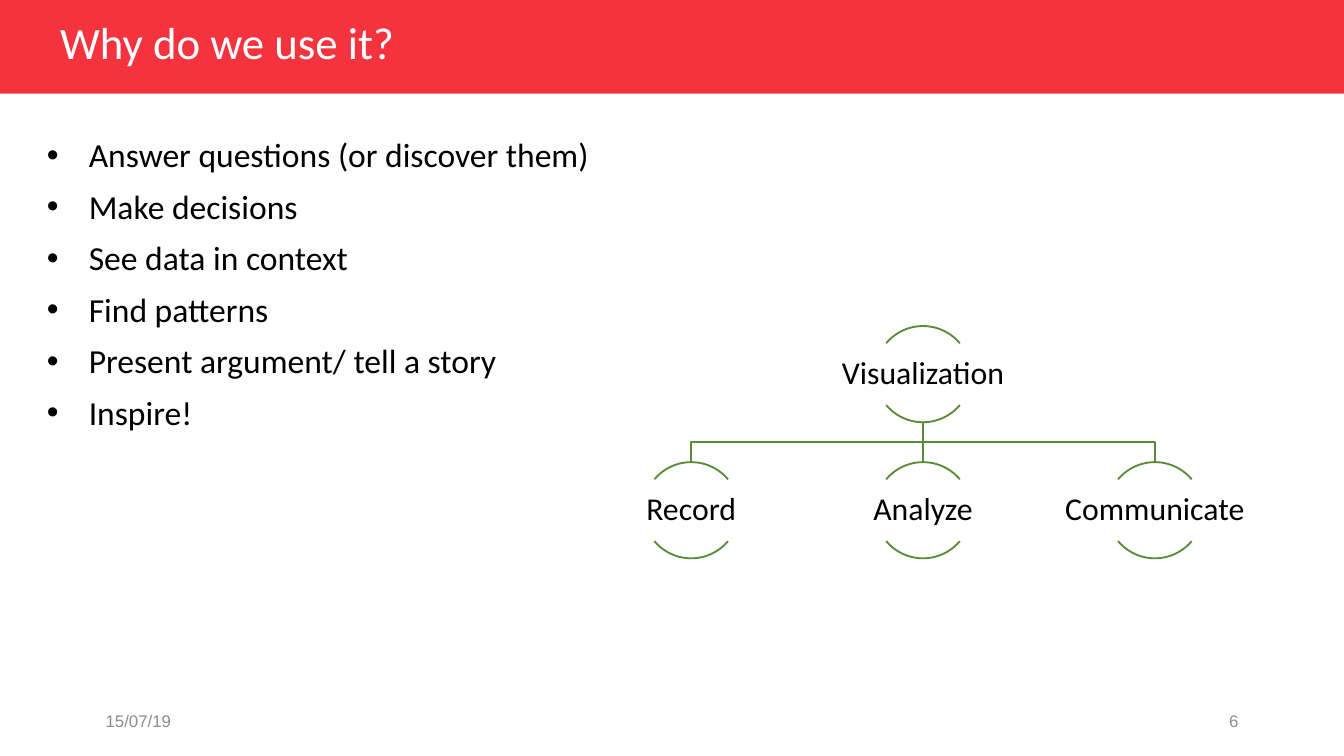
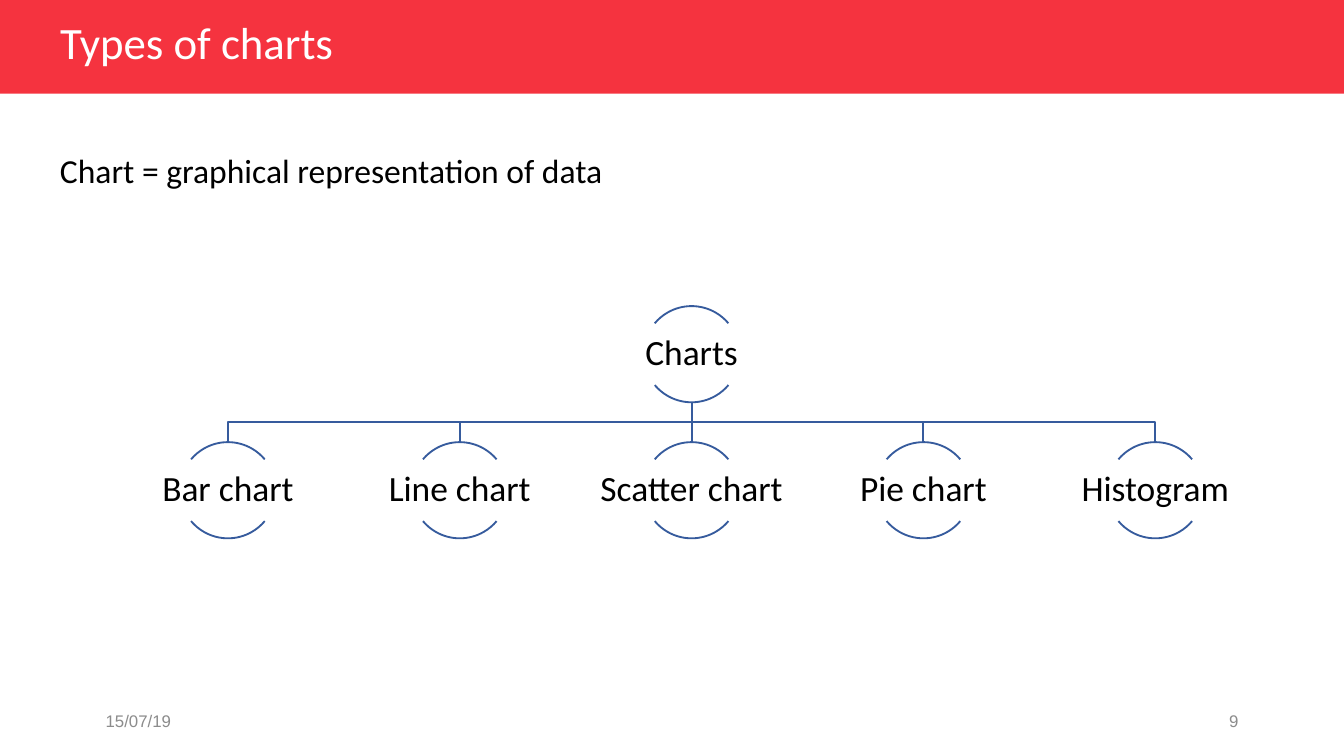
"""Build two slides on why data is visualized and which chart types exist."""
from lxml import etree
from pptx import Presentation
from pptx.dml.color import RGBColor
from pptx.enum import shapes, text
from pptx.oxml import ns
from pptx.util import Pt

COLOURS = {
    "band": "F5333F",
    "title": "FFFFFF",
    "body": "000000",
    "footer": "8C8C8C",
    "purpose": "5A8B39",
    "charts": "365B9D",
}
BODY_FONT, FOOTER_FONT = "Calibri", "Arial"
NODE_SIZE, NODE_PITCH, LEVEL_PITCH = 51.5, 124.2, 72.9
LABEL_WIDTH, LABEL_HEIGHT = 103, 33
ARC_ANGLES = ((132, 192), (24, 84))


def rgb(name):
    """Return the named colour."""
    return RGBColor.from_string(COLOURS[name])


def add_run(paragraph, wording, size, colour="body", font=BODY_FONT):
    """Append one formatted run."""
    run = paragraph.add_run()
    run.text = wording
    run.font.size = Pt(size)
    run.font.name = font
    run.font.color.rgb = rgb(colour)


def add_text_box(parent, left, top, width, height):
    """Add an empty wrapping text box and return its frame."""
    frame = parent.shapes.add_textbox(Pt(left), Pt(top), Pt(width), Pt(height)).text_frame
    frame.word_wrap = True
    return frame


def add_band(slide):
    """Place the title band on the layout that the slides share."""
    band = slide.shapes.add_shape(shapes.MSO_SHAPE.RECTANGLE, 0, 0, Pt(720), Pt(50.2))
    band.shadow.inherit = False
    band.fill.solid()
    band.fill.fore_color.rgb = rgb("band")
    band.line.fill.background()
    band.element.nvSpPr.cNvPr.set("id", "20")
    slide.slide_layout.shapes.element.insert(2, band.element)


def add_footer(slide, left, wording, alignment):
    """Add one small footer entry."""
    frame = add_text_box(slide, left, 375.3, 162, 21.6)
    frame.vertical_anchor = text.MSO_ANCHOR.MIDDLE
    entry = frame.paragraphs[0]
    entry.alignment = alignment
    add_run(entry, wording, 9, "footer", FOOTER_FONT)


def add_slide(deck, heading, number):
    """Add a slide with its title, date and number."""
    slide = deck.slides.add_slide(deck.slide_layouts[5])
    title = slide.shapes.title
    title.left, title.top, title.width, title.height = Pt(25), Pt(9.2), Pt(294.5), Pt(30.2)
    frame = title.text_frame
    frame.auto_size = text.MSO_AUTO_SIZE.NONE
    frame.vertical_anchor = text.MSO_ANCHOR.MIDDLE
    line = frame.paragraphs[0]
    line.alignment = text.PP_ALIGN.LEFT
    line.line_spacing = 0.9
    add_run(line, heading, 24, "title")
    add_footer(slide, 49.5, "15/07/19", text.PP_ALIGN.LEFT)
    add_footer(slide, 508.5, number, text.PP_ALIGN.RIGHT)
    return slide


def add_bullets(slide, reasons):
    """Add the bulleted list of reasons."""
    frame = add_text_box(slide, 18, 68.4, 676, 168.5)
    frame.auto_size = text.MSO_AUTO_SIZE.SHAPE_TO_FIT_TEXT
    for index, reason in enumerate(reasons):
        item = frame.add_paragraph() if index else frame.paragraphs[0]
        item.space_after = Pt(6)
        add_run(item, reason, 18)
        properties = item._p.get_or_add_pPr()
        properties.set("marL", str(Pt(22.5)))
        properties.set("indent", str(Pt(-22.5)))
        etree.SubElement(properties, ns.qn("a:buFont")).set("typeface", FOOTER_FONT)
        etree.SubElement(properties, ns.qn("a:buChar")).set("char", "•")


def style_line(branch, colour):
    """Give an outline its colour and width."""
    branch.line.color.rgb = rgb(colour)
    branch.line.width = Pt(1)


def add_branch(tree, start, end, colour):
    """Join a parent to a child, with a bend unless the child is right below."""
    (x1, y1), (x2, y2) = start, end
    if x1 == x2:
        branch = tree.shapes.add_connector(
            shapes.MSO_CONNECTOR.STRAIGHT, Pt(x1), Pt(y1), Pt(x2), Pt(y2))
        etree.SubElement(branch.element.spPr, ns.qn("a:effectLst"))
    else:
        middle = (y1 + y2) / 2
        outline = tree.shapes.build_freeform(Pt(x1), Pt(y1))
        corners = ((x1, middle), (x2, middle), (x2, y2))
        outline.add_line_segments([(Pt(x), Pt(y)) for x, y in corners], close=False)
        branch = outline.convert_to_shape()
        branch.shadow.inherit = False
        branch.fill.background()
    style_line(branch, colour)


def add_node(tree, center, top, wording, size, colour):
    """Add a label between an upper and a lower arc."""
    for angles in ARC_ANGLES:
        arc = tree.shapes.add_shape(
            shapes.MSO_SHAPE.ARC, Pt(center - NODE_SIZE / 2), Pt(top), Pt(NODE_SIZE), Pt(NODE_SIZE))
        arc.adjustments[0], arc.adjustments[1] = angles
        arc.shadow.inherit = False
        arc.fill.background()
        style_line(arc, colour)
    frame = add_text_box(tree, center - LABEL_WIDTH / 2, top + (NODE_SIZE - LABEL_HEIGHT) / 2,
                         LABEL_WIDTH, LABEL_HEIGHT)
    frame.margin_left = frame.margin_right = frame.margin_top = frame.margin_bottom = Pt(0.8)
    frame.vertical_anchor = text.MSO_ANCHOR.MIDDLE
    label = frame.paragraphs[0]
    label.alignment = text.PP_ALIGN.CENTER
    label.line_spacing = 0.9
    label.space_after = Pt(6)
    add_run(label, wording, size)


def add_tree(slide, center, top, root, children, size, colour):
    """Add a two-level tree centred on its root."""
    tree = slide.shapes.add_group_shape()
    child_top = top + LEVEL_PITCH
    middle = (len(children) - 1) / 2
    centers = [center + (index - middle) * NODE_PITCH for index in range(len(children))]
    for child_center in reversed(centers):
        add_branch(tree, (center, top + NODE_SIZE), (child_center, child_top), colour)
    add_node(tree, center, top, root, size, colour)
    for child_center, child in zip(centers, children):
        add_node(tree, child_center, child_top, child, size, colour)


def main():
    """Build and save the deck."""
    deck = Presentation()
    deck.slide_width, deck.slide_height = Pt(720), Pt(405)

    purpose = add_slide(deck, "Why do we use it?", "6")
    add_band(purpose)
    add_bullets(purpose, (
        "Answer questions (or discover them)", "Make decisions", "See data in context",
        "Find patterns", "Present argument/ tell a story", "Inspire!"))
    add_tree(purpose, 494.5, 174.7, "Visualization",
             ("Record", "Analyze", "Communicate"), 17, "purpose")

    charts = add_slide(deck, "Types of charts", "9")
    definition = add_text_box(charts, 25, 76.5, 661, 51)
    definition.auto_size = text.MSO_AUTO_SIZE.SHAPE_TO_FIT_TEXT
    add_run(definition.paragraphs[0], "Chart = graphical representation of data", 18)
    add_tree(charts, 370.5, 164, "Charts",
             ("Bar chart", "Line chart", "Scatter chart", "Pie chart", "Histogram"), 19, "charts")

    deck.save("out.pptx")


if __name__ == "__main__":
    main()
